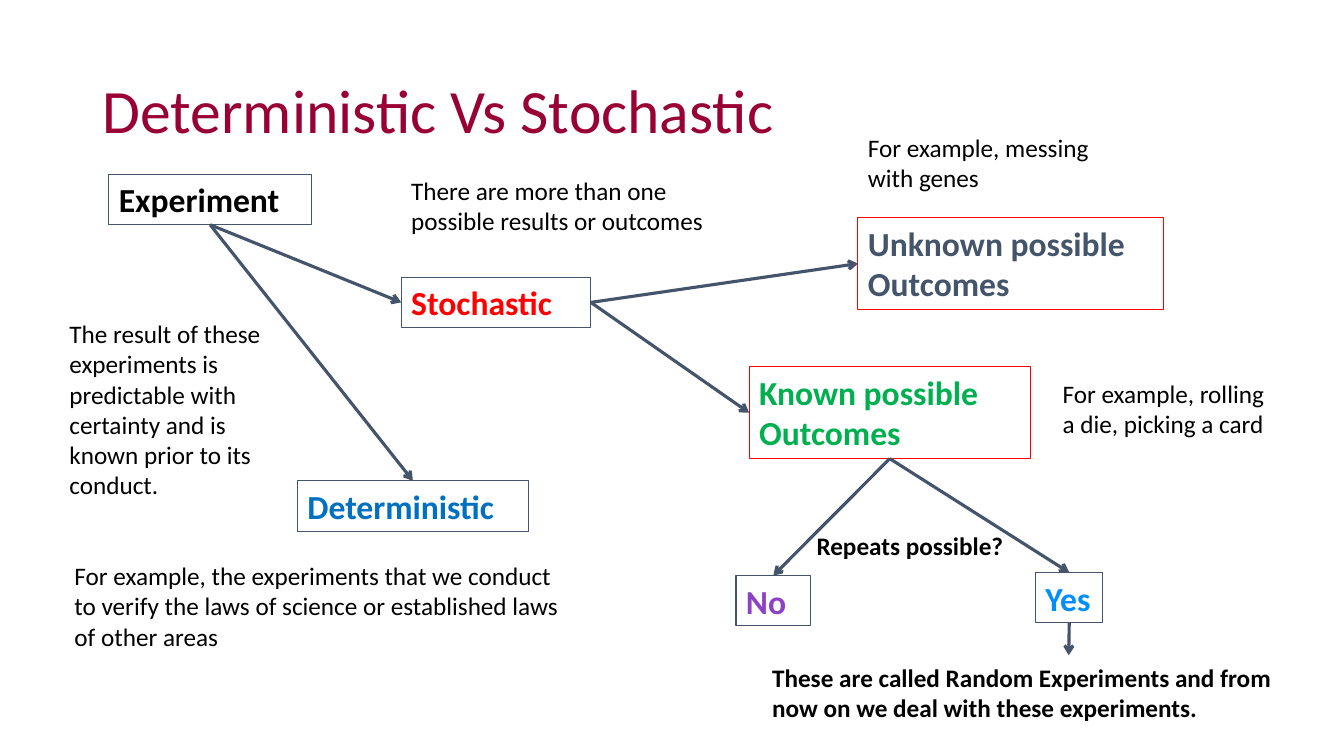
import pptx
import pptx.dml.color
import pptx.enum.shapes
import pptx.enum.text
import pptx.oxml.ns
import pptx.util
from lxml import etree
from pptx.util import Inches

RGBColor = pptx.dml.color.RGBColor
MAROON = RGBColor(0x99, 0x00, 0x33)
BLACK = RGBColor(0x00, 0x00, 0x00)
SLATE = RGBColor(0x44, 0x54, 0x6A)
RED = RGBColor(0xFF, 0x00, 0x00)
BLUE = RGBColor(0x00, 0x70, 0xC0)
GREEN = RGBColor(0x00, 0xB0, 0x50)
SKY = RGBColor(0x00, 0x8F, 0xFA)
PURPLE = RGBColor(0x8D, 0x42, 0xC6)

ANCHOR = pptx.enum.text.MSO_ANCHOR
BOTTOM, RIGHT, TOP, LEFT = 2, 3, 0, 1

OUTCOMES = {
    "experiment": ("Experiment", 1.08, 1.73, 2.01, 0.5, BLACK, SLATE),
    "deterministic": ("Deterministic", 2.95, 4.77, 2.29, 0.5, BLUE, SLATE),
    "stochastic": ("Stochastic", 3.98, 2.75, 1.88, 0.5, RED, SLATE),
    "unknown": ("Unknown possible Outcomes", 8.51, 2.16, 3.03, 0.91, SLATE, RED),
    "known": ("Known possible Outcomes", 7.43, 3.64, 2.79, 0.91, GREEN, RED),
    "yes": ("Yes", 10.27, 5.68, 0.67, 0.5, SKY, SLATE),
    "no": ("No", 7.3, 5.71, 0.74, 0.5, PURPLE, SLATE),
}

BRANCHES = [
    ("experiment", BOTTOM, "deterministic", TOP),
    ("experiment", BOTTOM, "stochastic", LEFT),
    ("stochastic", RIGHT, "unknown", LEFT),
    ("stochastic", RIGHT, "known", LEFT),
    ("known", BOTTOM, "yes", TOP),
    ("known", BOTTOM, "no", TOP),
]

NOTES = [
    ("For example, the experiments that we conduct to verify the laws of "
     "science or established laws of other areas", 0.64, 5.51, 5, 1.01, False),
    ("These are called Random Experiments and from now on we deal with these "
     "experiments.", 7.56, 6.52, 5.37, 0.71, True),
    ("For example, messing with genes", 8.51, 1.26, 2.58, 0.71, False),
    ("The result of these experiments is predictable with certainty and is "
     "known prior to its conduct.", 0.59, 3.11, 2.36, 1.92, False),
    ("There are more than one possible results or outcomes",
     3.98, 1.69, 3.22, 0.71, False),
    ("For example, rolling a die, picking a card", 10.44, 3.7, 2.21, 0.71, False),
    ("Repeats possible?", 8, 5.21, 2.21, 0.4, True),
]


def apply_format(target, values):
    """Set each attribute named in values on the target."""
    for attribute, value in values.items():
        setattr(target, attribute, value)


def write_text(shape, wording, size, color, bold=False, anchor=ANCHOR.TOP):
    """Fill a shape with one left-aligned paragraph."""
    apply_format(shape.text_frame, {"word_wrap": True, "vertical_anchor": anchor})
    paragraph = shape.text_frame.paragraphs[0]
    paragraph.alignment = pptx.enum.text.PP_ALIGN.LEFT
    run = paragraph.add_run()
    run.text = wording
    apply_format(run.font, {"name": "Calibri", "size": pptx.util.Pt(size), "bold": bold})
    run.font.color.rgb = color
    return paragraph


def add_title(slide, wording):
    """Add the slide heading."""
    heading = slide.shapes.add_textbox(
        Inches(0.92), Inches(0.4), Inches(7.1), Inches(1.45))
    paragraph = write_text(heading, wording, 44, MAROON, anchor=ANCHOR.MIDDLE)
    paragraph.line_spacing = 0.9


def add_note(slide, wording, left, top, width, height, bold):
    """Add an explanatory note."""
    note = slide.shapes.add_textbox(
        Inches(left), Inches(top), Inches(width), Inches(height))
    write_text(note, wording, 18, BLACK, bold)


def add_outcome(slide, wording, left, top, width, height, color, border):
    """Add an outlined box of the tree."""
    outcome = slide.shapes.add_shape(
        pptx.enum.shapes.MSO_SHAPE.RECTANGLE,
        Inches(left), Inches(top), Inches(width), Inches(height))
    outcome.shadow.inherit = False
    outcome.fill.background()
    outcome.line.color.rgb = border
    outcome.line.width = pptx.util.Pt(0.75)
    write_text(outcome, wording, 24, color, bold=True)
    return outcome


def add_arrow(slide, source, source_side, target=None, target_side=None, end=(0, 0)):
    """Draw an arrow from a box to another box or to a free end point."""
    arrow = slide.shapes.add_connector(
        pptx.enum.shapes.MSO_CONNECTOR.STRAIGHT, 0, 0, Inches(end[0]), Inches(end[1]))
    arrow.begin_connect(source, source_side)
    if target is not None:
        arrow.end_connect(target, target_side)
    arrow.line.color.rgb = SLATE
    arrow.line.width = pptx.util.Pt(2.25)
    qn = pptx.oxml.ns.qn
    etree.SubElement(arrow.line._get_or_add_ln(), qn("a:tailEnd"), type="arrow")
    etree.SubElement(arrow._element.spPr, qn("a:effectLst"))


def main():
    """Build the slide and save it."""
    deck = pptx.Presentation()
    apply_format(deck, {"slide_width": Inches(13.33), "slide_height": Inches(7.5)})
    slide = deck.slides.add_slide(deck.slide_layouts[6])
    add_title(slide, "Deterministic Vs Stochastic")
    boxes = {key: add_outcome(slide, *outcome) for key, outcome in OUTCOMES.items()}
    for source, source_side, target, target_side in BRANCHES:
        add_arrow(slide, boxes[source], source_side, boxes[target], target_side)
    add_arrow(slide, boxes["yes"], BOTTOM, end=(10.6, 6.5))
    for note in NOTES:
        add_note(slide, *note)
    deck.save("out.pptx")


if __name__ == "__main__":
    main()
